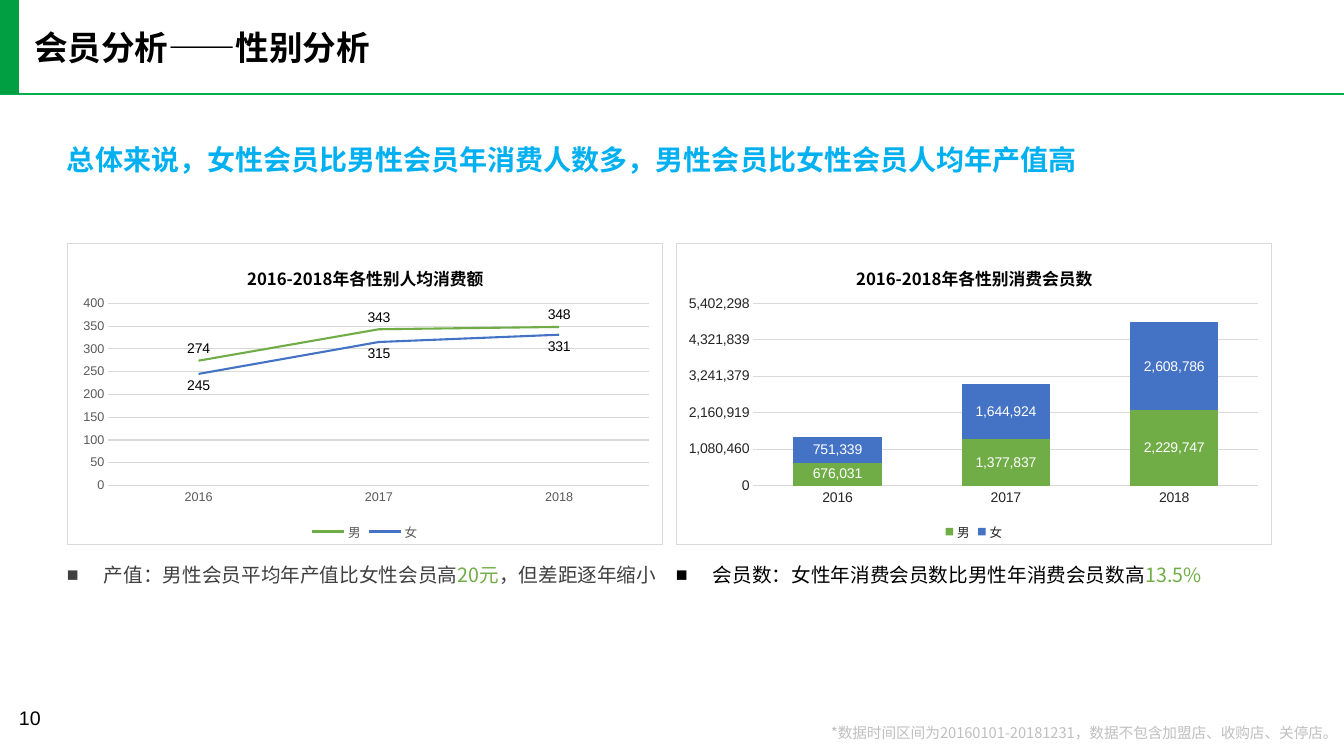
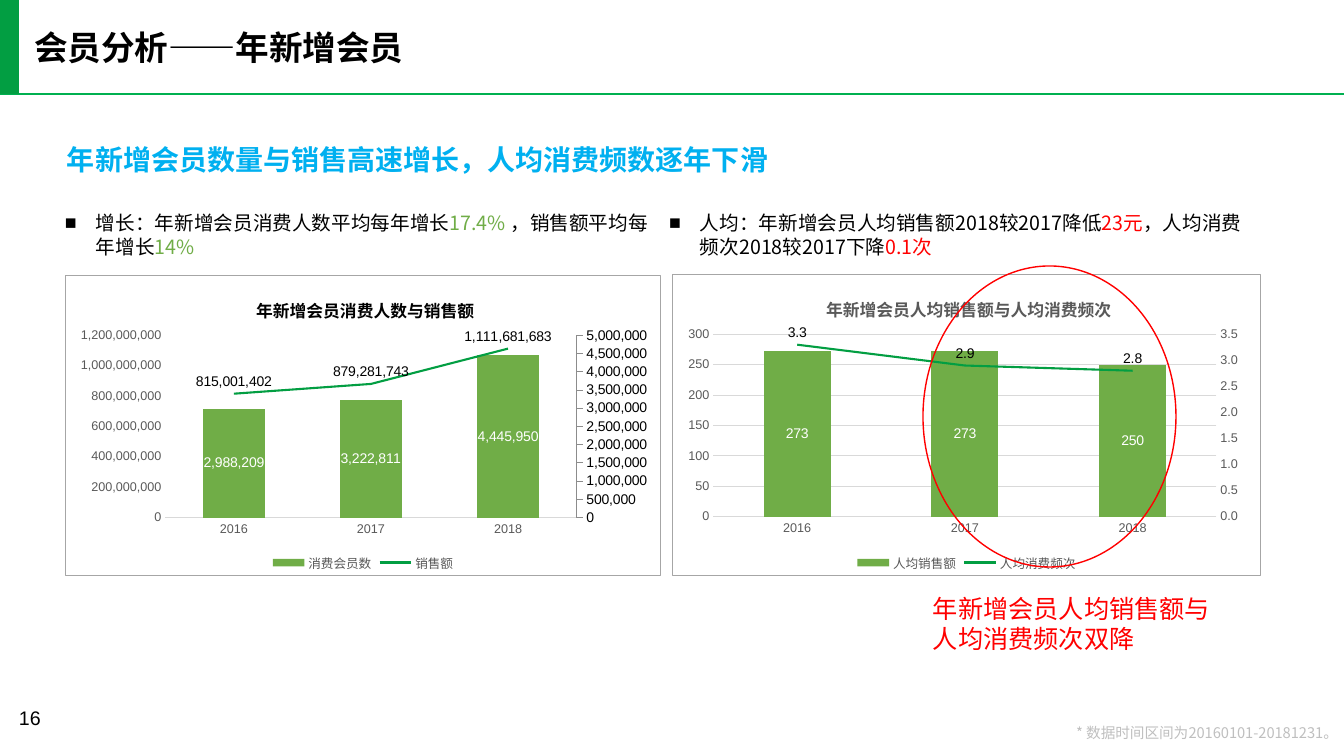
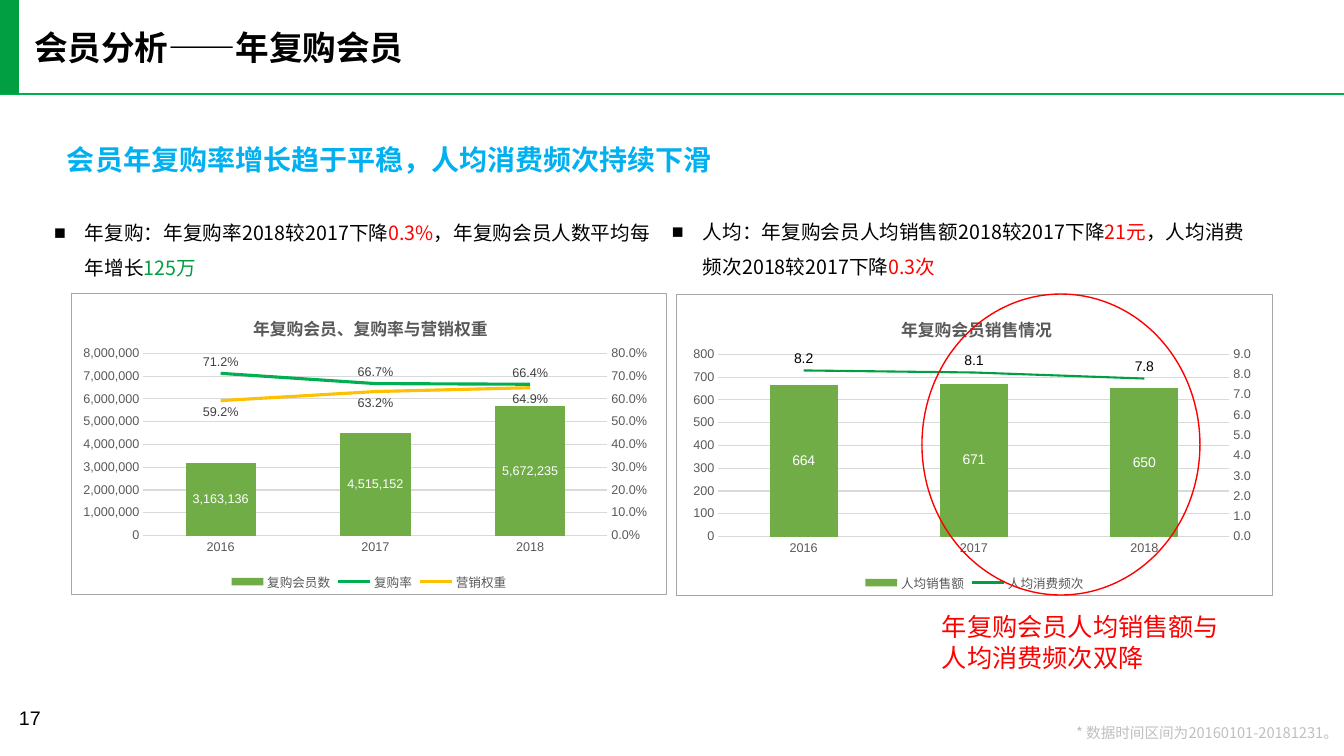
from copy import deepcopy

from pptx import Presentation
from pptx.chart.axis import ValueAxis
from pptx.chart.data import CategoryChartData
from pptx.dml.color import RGBColor
from pptx.enum.chart import (XL_CHART_TYPE, XL_LABEL_POSITION, XL_LEGEND_POSITION,
                             XL_MARKER_STYLE, XL_TICK_MARK)
from pptx.enum.shapes import MSO_CONNECTOR, MSO_SHAPE
from pptx.enum.text import MSO_ANCHOR, MSO_AUTO_SIZE, PP_ALIGN
from pptx.oxml import parse_xml
from pptx.oxml.ns import nsdecls, qn
from pptx.util import Pt

PX = 9072  # EMU per pixel
CJK, LATIN = "Noto Sans CJK SC", "Arial"

BLACK = RGBColor(0x00, 0x00, 0x00)
WHITE = RGBColor(0xFF, 0xFF, 0xFF)
INK = RGBColor(0x26, 0x26, 0x26)
DARK = RGBColor(0x40, 0x40, 0x40)
GRAY = RGBColor(0x59, 0x59, 0x59)
AXIS_GRAY = RGBColor(0x8C, 0x8C, 0x8C)
BORDER = RGBColor(0xA6, 0xA6, 0xA6)
PALE = RGBColor(0xBF, 0xBF, 0xBF)
GRID = RGBColor(0xD9, 0xD9, 0xD9)
BRAND = RGBColor(0x02, 0x9E, 0x42)
RULE = RGBColor(0x00, 0xB0, 0x50)
LEAF = RGBColor(0x70, 0xAD, 0x47)
BLUE = RGBColor(0x44, 0x72, 0xC4)
SKY = RGBColor(0x00, 0xB0, 0xF0)
GOLD = RGBColor(0xFF, 0xC0, 0x00)
RED = RGBColor(0xFF, 0x00, 0x00)

YEARS = ["2016", "2017", "2018"]
ABOVE, BELOW = XL_LABEL_POSITION.ABOVE, XL_LABEL_POSITION.BELOW
COUNT, WHOLE, TENTH, RATE = "#,##0", "0", "0.0", "0.0%"
NOTE = "* 数据时间区间为20160101-20181231。"

# Axes are (maximum, step, format), the bars' axis first.
# Series are (name, values, colour, label format, label position of a line).
SLIDES = [
    dict(
        number="10", title="会员分析——性别分析",
        headline="总体来说，女性会员比男性会员年消费人数多，男性会员比女性会员人均年产值高",
        note="*数据时间区间为20160101-20181231，数据不包含加盟店、收购店、关停店。",
        indent=37, spacing=25,
        bullets=[
            ((67, 553, 617, 31), [("产值：男性会员平均年产值比女性会员高", DARK),
                                  ("20元", LEAF), ("，但差距逐年缩小", DARK)]),
            ((676, 553, 603, 31), [("会员数：女性年消费会员数比男性年消费会员数高", BLACK),
                                   ("13.5%", LEAF)]),
        ],
        charts=[
            dict(kind=XL_CHART_TYPE.LINE, box=(67, 243, 596, 302), border=GRID,
                 title="2016-2018年各性别人均消费额", title_left=177, title_color=BLACK,
                 plot=(41, 583), axes=[(400, 50, WHOLE)],
                 series=[("男", (274, 343, 348), LEAF, WHOLE, ABOVE),
                         ("女", (245, 315, 331), BLUE, WHOLE, BELOW)]),
            dict(kind=XL_CHART_TYPE.COLUMN_STACKED, box=(676, 243, 596, 302), border=GRID,
                 title="2016-2018年各性别消费会员数", title_left=177, title_color=BLACK,
                 plot=(77, 583), axes=[(5402298.25, 1080459.65, COUNT)],
                 axis_size=10, axis_color=INK, gap=91, overlap=100,
                 series=[("男", (676031, 1377837, 2229747), LEAF, COUNT, None),
                         ("女", (751339, 1644924, 2608786), BLUE, COUNT, None)]),
        ],
    ),
    dict(
        number="16", title="会员分析——年新增会员",
        headline="年新增会员数量与销售高速增长，人均消费频数逐年下滑",
        note=NOTE, indent=31, spacing=17,
        bullets=[
            ((65, 211, 592, 47), [("增长：年新增会员消费人数平均每年增长", BLACK),
                                  ("17.4% ", LEAF), ("，销售额平均每年增长", BLACK),
                                  ("14%", LEAF)]),
            ((669, 211, 589, 47), [("人均：年新增会员人均销售额2018较2017降低", BLACK),
                                   ("23元", RED), ("，人均消费频次2018较2017下降", BLACK),
                                   ("0.1次", RED)]),
        ],
        charts=[
            dict(kind=XL_CHART_TYPE.COLUMN_CLUSTERED, box=(65, 275, 596, 301),
                 title="年新增会员消费人数与销售额", title_left=188, title_color=BLACK,
                 plot=(100, 512), gap=120, bars_right=True,
                 axes=[(5000000, 500000, COUNT), (1200000000, 200000000, COUNT)],
                 series=[("消费会员数", (2988209, 3222811, 4445950), LEAF, COUNT, None),
                         ("销售额", (815001402, 879281743, 1111681683), BRAND, COUNT, ABOVE)]),
            dict(kind=XL_CHART_TYPE.COLUMN_CLUSTERED, box=(672, 274, 589, 302),
                 title="年新增会员人均销售额与人均消费频次", title_left=151,
                 plot=(41, 545), gap=150, overlap=-27,
                 axes=[(300, 50, WHOLE), (3.5, 0.5, TENTH)],
                 series=[("人均销售额", (273, 273, 250), LEAF, WHOLE, None),
                         ("人均消费频次", (3.3, 2.9, 2.8), BRAND, TENTH, ABOVE)]),
        ],
        ring=(923, 266, 253, 301),
        callout=((923, 588, 305, 72), "年新增会员人均销售额与人均消费频次双降"),
    ),
    dict(
        number="17", title="会员分析——年复购会员",
        headline="会员年复购率增长趋于平稳，人均消费频次持续下滑",
        note=NOTE, indent=31, spacing=25,
        bullets=[
            ((54, 211, 599, 67), [("年复购：年复购率2018较2017下降", BLACK), ("0.3%", RED),
                                  ("，年复购会员人数平均每年增长", BLACK), ("125万", BRAND)]),
            ((672, 210, 590, 67), [("人均：年复购会员人均销售额2018较2017下降", BLACK),
                                   ("21元", RED), ("，人均消费频次2018较2017下降", BLACK),
                                   ("0.3次", RED)]),
        ],
        charts=[
            dict(kind=XL_CHART_TYPE.COLUMN_CLUSTERED, box=(71, 293, 596, 302),
                 title="年复购会员、复购率与营销权重", title_left=179,
                 plot=(72, 537), gap=120, label_size=9, label_color=DARK, line_width=2.25,
                 axes=[(8000000, 1000000, COUNT), (0.8, 0.1, RATE)],
                 series=[("复购会员数", (3163136, 4515152, 5672235), LEAF, COUNT, None),
                         ("复购率", (0.712, 0.667, 0.664), RULE, RATE, ABOVE),
                         ("营销权重", (0.592, 0.632, 0.649), GOLD, RATE, BELOW)]),
            dict(kind=XL_CHART_TYPE.COLUMN_CLUSTERED, box=(676, 294, 597, 302),
                 title="年复购会员销售情况", title_left=222,
                 plot=(42, 554), gap=150, overlap=-27,
                 axes=[(800, 100, WHOLE), (9, 1, TENTH)],
                 series=[("人均销售额", (664, 671, 650), LEAF, WHOLE, None),
                         ("人均消费频次", (8.2, 8.1, 7.8), BRAND, TENTH, ABOVE)]),
        ],
        ring=(922, 294, 278, 301),
        callout=((932, 607, 305, 72), "年复购会员人均销售额与人均消费频次双降"),
    ),
]


def put_text(sp, box, runs, size, spacing, font=CJK, bold=False, inset=0,
             anchor=MSO_ANCHOR.TOP):
    """Place a text shape, fill it with (text, colour) runs and return its paragraph."""
    sp.left, sp.top, sp.width, sp.height = (PX * v for v in box)
    tf = sp.text_frame
    tf.word_wrap = True
    tf.auto_size = MSO_AUTO_SIZE.NONE
    tf.vertical_anchor = anchor
    tf.margin_left = tf.margin_right = PX * inset
    tf.margin_top = tf.margin_bottom = PX * inset // 2
    p = tf.paragraphs[0]
    p.alignment = PP_ALIGN.LEFT
    p.space_before = Pt(0)
    p.line_spacing = Pt(spacing)
    for text, color in runs:
        r = p.add_run()
        r.text = text
        r.font.size, r.font.bold, r.font.name = Pt(size), bold, font
        r.font.color.rgb = color
        r.font._element.find(qn("a:latin")).addnext(
            parse_xml(f'<a:ea {nsdecls("a")} typeface="{font}"/>'))
    return p


def set_layout(holder, index, x, y, size=""):
    """Give a chart title or plot area a fixed place, in fractions of the chart."""
    for old in holder.findall(qn("c:layout")):
        holder.remove(old)
    target = '<c:layoutTarget val="inner"/>' if size else ""
    holder.insert(index, parse_xml(
        f'<c:layout {nsdecls("c")}><c:manualLayout>{target}'
        f'<c:xMode val="edge"/><c:yMode val="edge"/>'
        f'<c:x val="{x:.4f}"/><c:y val="{y:.4f}"/>{size}</c:manualLayout></c:layout>'))


prs = Presentation()
prs.slide_width, prs.slide_height = PX * 1344, PX * 756
two_content = prs.slide_layouts[3]

for page in SLIDES:
    slide = prs.slides.add_slide(two_content)
    shapes = slide.shapes

    # Header and footer
    rule = shapes.add_connector(MSO_CONNECTOR.STRAIGHT, 0, PX * 94, PX * 1344, PX * 94)
    rule.line.color.rgb, rule.line.width = RULE, Pt(1)
    rule._element.spPr.append(parse_xml(f'<a:effectLst {nsdecls("a")}/>'))
    band = shapes.add_shape(MSO_SHAPE.RECTANGLE, 0, -PX, PX * 19, PX * 95)
    band.shadow.inherit = False
    band.fill.solid()
    band.fill.fore_color.rgb = BRAND
    band.line.fill.background()
    put_text(shapes.title, (34, 28, 634, 36), [(page["title"], BLACK)], 24, 28, bold=True)
    put_text(shapes.add_textbox(0, 0, 0, 0), (67, 150, 1216, 26),
             [(page["headline"], SKY)], 20, 18, bold=True, anchor=MSO_ANCHOR.MIDDLE)
    put_text(shapes.add_textbox(0, 0, 0, 0), (9, 701, 92, 40),
             [(page["number"], BLACK)], 14, 17, font=LATIN, inset=10)
    p = put_text(shapes.add_textbox(0, 0, 0, 0), (738, 725, 600, 16),
                 [(page["note"], PALE)], 10.5, 12)
    p.alignment = PP_ALIGN.RIGHT

    # Findings
    for idx, (box, runs) in enumerate(page["bullets"], start=1):
        p = put_text(slide.placeholders[idx], box, runs, 14, page["spacing"],
                     anchor=MSO_ANCHOR.MIDDLE)
        pPr = p._p.get_or_add_pPr()
        pPr.set("marL", str(PX * page["indent"]))
        pPr.set("indent", str(-PX * page["indent"]))
        pPr.append(parse_xml(f'<a:buFont {nsdecls("a")} typeface="{LATIN}"/>'))
        pPr.append(parse_xml(f'<a:buChar {nsdecls("a")} char="■"/>'))

    for item in page["charts"]:
        data = CategoryChartData()
        data.categories = YEARS
        for name, values, _, fmt, _ in item["series"]:
            data.add_series(name, values, number_format=fmt)
        chart = shapes.add_chart(item["kind"], *(PX * v for v in item["box"]), data).chart
        space = chart._chartSpace
        area = space.chart.plotArea
        axis_size = item.get("axis_size", 9)
        axis_color = item.get("axis_color", GRAY)
        chart.font.name, chart.font.size = LATIN, Pt(10)
        space.chart.addnext(parse_xml(
            f'<c:spPr {nsdecls("c", "a")}><a:solidFill><a:srgbClr val="{WHITE}"/></a:solidFill>'
            f'<a:ln w="9525"><a:solidFill><a:srgbClr val="{item.get("border", BORDER)}"/>'
            f'</a:solidFill></a:ln></c:spPr>'))

        # Lines on a second pair of axes
        value_axes = [chart.value_axis]
        category_axis = chart.category_axis
        if len(item["axes"]) == 2:
            bars = area.find(qn("c:barChart"))
            lines = parse_xml(
                f'<c:lineChart {nsdecls("c")}><c:grouping val="standard"/>'
                f'<c:varyColors val="0"/><c:marker val="1"/>'
                f'<c:axId val="5001"/><c:axId val="5002"/></c:lineChart>')
            for ser in bars.findall(qn("c:ser"))[1:]:
                for flag in ser.findall(qn("c:invertIfNegative")):
                    ser.remove(flag)
                lines.find(qn("c:marker")).addprevious(ser)
            bars.addnext(lines)
            cats, vals = [area.find(qn("c:catAx"))], [area.find(qn("c:valAx"))]
            for axes, own, other in ((cats, "5001", "5002"), (vals, "5002", "5001")):
                twin = deepcopy(axes[0])
                twin.find(qn("c:axId")).set("val", own)
                twin.find(qn("c:crossAx")).set("val", other)
                axes.append(twin)
            vals[0].addnext(vals[1])
            vals[1].addnext(cats[1])
            right = 0 if item.get("bars_right") else 1
            cats[right].find(qn("c:delete")).set("val", "1")
            vals[right].find(qn("c:axPos")).set("val", "r")
            vals[right].find(qn("c:crosses")).set("val", "max")
            value_axes = [ValueAxis(v) for v in vals]
            value_axes[right].has_major_gridlines = False
            category_axis = type(category_axis)(cats[1 - right])

        for axis, (top, step, fmt) in zip(value_axes, item["axes"]):
            axis.minimum_scale, axis.maximum_scale, axis.major_unit = 0, top, step
            axis.tick_labels.number_format = fmt
            axis.tick_labels.number_format_is_linked = False
            axis.format.line.fill.background()
            if axis.has_major_gridlines:
                axis.major_gridlines.format.line.color.rgb = GRID
                axis.major_gridlines.format.line.width = Pt(0.75)
        category_axis.format.line.color.rgb = GRID
        category_axis.format.line.width = Pt(0.75)
        for axis in (category_axis, *value_axes):
            axis.major_tick_mark = XL_TICK_MARK.NONE
            font = axis.tick_labels.font
            font.name, font.size = LATIN, Pt(axis_size)
            font.color.rgb = axis_color
        if item.get("bars_right"):
            axis = value_axes[0]
            axis.major_tick_mark = XL_TICK_MARK.OUTSIDE
            axis.format.line.color.rgb, axis.format.line.width = AXIS_GRAY, Pt(0.5)
            axis.tick_labels.font.size = Pt(10)
            axis.tick_labels.font.color.rgb = BLACK

        for plot in chart.plots:
            plot.vary_by_categories = False
        if "gap" in item:
            chart.plots[0].gap_width = item["gap"]
            chart.plots[0].overlap = item.get("overlap", 0)
        drawn = [ser for plot in chart.plots for ser in plot.series]
        for ser, (_, _, color, fmt, position) in zip(drawn, item["series"]):
            labels = ser.data_labels
            labels.show_value = True
            labels.number_format, labels.number_format_is_linked = fmt, False
            labels.font.name, labels.font.size = LATIN, Pt(item.get("label_size", 10))
            if position is None:
                ser.format.fill.solid()
                ser.format.fill.fore_color.rgb = color
                labels.position = XL_LABEL_POSITION.CENTER
                labels.font.color.rgb = WHITE
            else:
                ser.format.line.color.rgb = color
                ser.format.line.width = Pt(item.get("line_width", 1.5))
                ser.marker.style = XL_MARKER_STYLE.NONE
                ser.smooth = False
                labels.position = position
                labels.font.color.rgb = item.get("label_color", BLACK)

        chart.has_legend = True
        chart.legend.position = XL_LEGEND_POSITION.BOTTOM
        chart.legend.include_in_layout = False
        font = chart.legend.font
        font.name, font.size, font.color.rgb = LATIN, Pt(9), axis_color

        chart.has_title = True
        tf = chart.chart_title.text_frame
        tf.text = item["title"]
        font = tf.paragraphs[0].runs[0].font
        font.name, font.size, font.bold = CJK, Pt(12), True
        font.color.rgb = item.get("title_color", GRAY)
        font._element.find(qn("a:latin")).addnext(
            parse_xml(f'<a:ea {nsdecls("a")} typeface="{CJK}"/>'))

        _, _, width, height = item["box"]
        left, right_edge = item["plot"]
        set_layout(chart.chart_title._element, 1, item["title_left"] / width, 17 / height)
        set_layout(area, 0, left / width, 60 / height,
                   f'<c:w val="{(right_edge - left) / width:.4f}"/>'
                   f'<c:h val="{183 / height:.4f}"/>')

    if "ring" in page:
        ring = shapes.add_shape(MSO_SHAPE.OVAL, *(PX * v for v in page["ring"]))
        ring.shadow.inherit = False
        ring.fill.background()
        ring.line.color.rgb, ring.line.width = RED, Pt(1)
        box, text = page["callout"]
        put_text(shapes.add_textbox(0, 0, 0, 0), box, [(text, RED)], 18, 21.5, inset=10)

prs.save("out.pptx")
